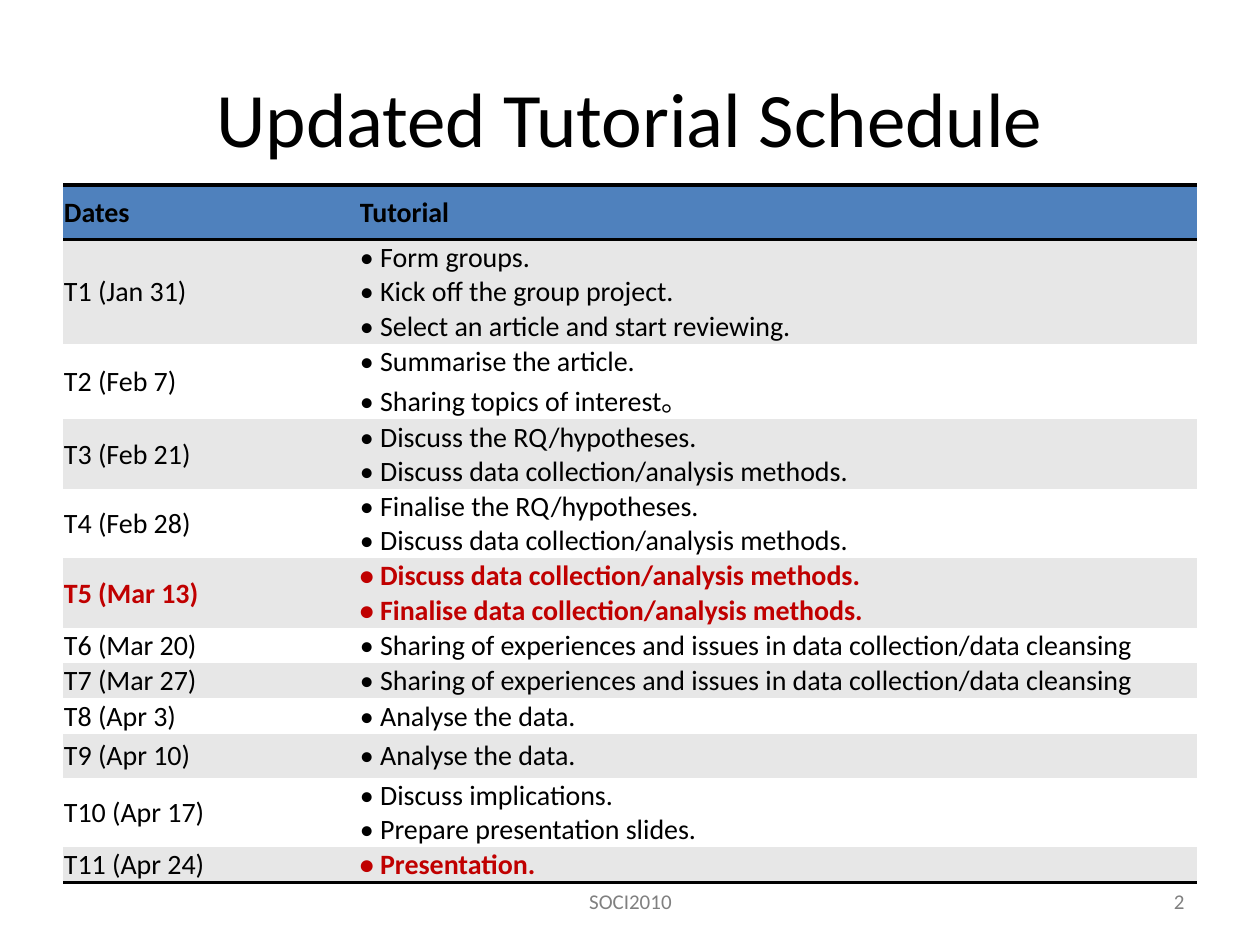
"""Build the tutorial schedule slide."""
import copy
import pptx
import pptx.util
import pptx.dml.color
import pptx.enum.text
import pptx.oxml
import pptx.oxml.ns

RGB = pptx.dml.color.RGBColor
ALIGN = pptx.enum.text.PP_ALIGN
MIDDLE = pptx.enum.text.MSO_ANCHOR.MIDDLE
BLACK = RGB(0, 0, 0)
WHITE = RGB(255, 255, 255)
BLUE = RGB(0x4F, 0x81, 0xBD)
BAND = RGB(0xE7, 0xE7, 0xE7)
RED = RGB(0xC0, 0, 0)
GREY = RGB(0x80, 0x80, 0x80)
FONT = "Calibri"
PLAIN = "{2D5ABB26-0587-4C30-8999-92F81FD0307C}"

TITLE = "Updated Tutorial Schedule"
HEAD = ("Dates", "Tutorial")
SHARE = "Sharing of experiences and issues in data collection/data cleansing"
METHODS = "Discuss data collection/analysis methods."
PLAN = [
    ("T1 (Jan 31)", 100, ["Form groups.", "Kick off the group project.",
                          "Select an article and start reviewing."]),
    ("T2 (Feb 7)", 67, ["Summarise the article.", "Sharing topics of interest。"]),
    ("T3 (Feb 21)", 67, ["Discuss the RQ/hypotheses.", METHODS]),
    ("T4 (Feb 28)", 67, ["Finalise the RQ/hypotheses.", METHODS]),
    ("T5 (Mar 13)", 67, [METHODS, "Finalise data collection/analysis methods."]),
    ("T6 (Mar 20)", 34, [SHARE]),
    ("T7 (Mar 27)", 34, [SHARE]),
    ("T8 (Apr 3)", 34, ["Analyse the data."]),
    ("T9 (Apr 10)", 44, ["Analyse the data."]),
    ("T10 (Apr 17)", 34, ["Discuss implications.", "Prepare presentation slides."]),
    ("T11 (Apr 24)", 34, ["Presentation."]),
]
STRESS = {(5, 0), (5, 1), (11, 1)}
COLS = (296, 838)
HEAD_H = 55
FOOT = [("SOCI2010", 431, 399, ALIGN.CENTER), ("2", 903, 294, ALIGN.RIGHT)]


def px(n):
    return pptx.util.Emu(n * 914400 // 126)


def style(frame, size, color, bold=False, align=None):
    frame.vertical_anchor = MIDDLE
    for par in frame.paragraphs:
        par.alignment = align
        for run in par.runs:
            run.font.name = FONT
            run.font.size = pptx.util.Pt(size)
            run.font.bold = bold
            run.font.color.rgb = color
        for gap in par._p.findall(pptx.oxml.ns.qn("a:br")):
            gap.insert(0, copy.deepcopy(par.runs[0]._r.rPr))


def rule(cell, sides):
    props = cell._tc.get_or_add_tcPr()
    for spot, side in enumerate(sides):
        props.insert(spot, pptx.oxml.parse_xml(
            f'<a:ln{side} {pptx.oxml.ns.nsdecls("a")} w="25400"><a:solidFill>'
            f'<a:srgbClr val="{BLACK}"/></a:solidFill></a:ln{side}>'))


def add_plan(slide):
    rows = [HEAD] + [(date, "\v".join("• " + t for t in tasks))
                     for date, _, tasks in PLAN]
    highs = [HEAD_H] + [high for _, high, _ in PLAN]
    frame = slide.shapes.add_table(len(rows), len(COLS), px(63), px(185),
                                   px(sum(COLS)), px(sum(highs)))
    table = frame.table
    table._tbl.tblPr.find(pptx.oxml.ns.qn("a:tableStyleId")).text = PLAIN
    for col, wide in zip(table.columns, COLS):
        col.width = px(wide)
    for r, (row, high) in enumerate(zip(rows, highs)):
        table.rows[r].height = px(high)
        for c, text in enumerate(row):
            cell = table.cell(r, c)
            cell.text_frame.text = text
            cell.margin_left = cell.margin_right = cell.margin_top = px(1)
            cell.margin_bottom = 0
            cell.vertical_anchor = MIDDLE
            cell.fill.solid()
            cell.fill.fore_color.rgb = BLUE if r == 0 else BAND if r % 2 else WHITE
            key = (r, c) in STRESS
            style(cell.text_frame, 16, RED if key else BLACK, key or r == 0)
            if r == 0:
                rule(cell, "TB")
            elif r == len(PLAN):
                rule(cell, "B")


def main():
    deck = pptx.Presentation()
    deck.slide_width, deck.slide_height = px(1260), px(945)
    slide = deck.slides.add_slide(deck.slide_layouts[5])
    title = slide.shapes.title
    title.left, title.top, title.width, title.height = map(px, (63, 38, 1134, 157))
    title.text_frame.text = TITLE
    style(title.text_frame, 44, BLACK, align=ALIGN.CENTER)
    add_plan(slide)
    for text, left, wide, align in FOOT:
        box = slide.shapes.add_textbox(px(left), px(876), px(wide), px(50))
        box.text_frame.word_wrap = True
        box.text_frame.text = text
        box.text_frame.paragraphs[0].space_after = pptx.util.Pt(6)
        style(box.text_frame, 12, GREY, align=align)
    deck.save("out.pptx")


if __name__ == "__main__":
    main()
